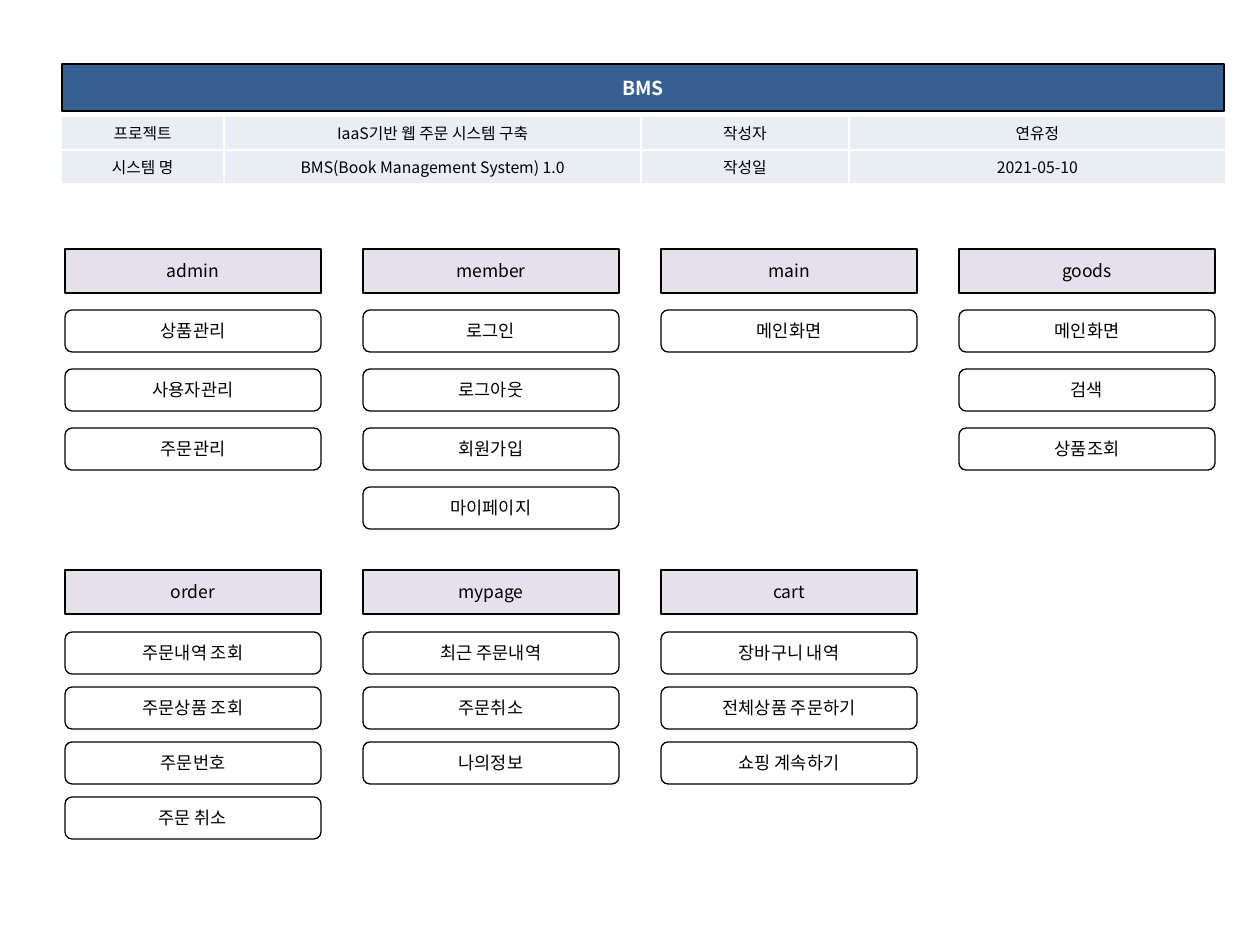
from pptx import Presentation
from pptx.dml.color import RGBColor as RGB
from pptx.enum.shapes import MSO_SHAPE as SHAPE
from pptx.enum.text import MSO_ANCHOR as ANCHOR, PP_ALIGN as ALIGN
from pptx.oxml.ns import qn
from pptx.util import Pt
from lxml.etree import SubElement

SCALE = 914400 // 126
FONT = "Noto Sans CJK KR"
BLACK = RGB(0x00, 0x00, 0x00)
WHITE = RGB(0xFF, 0xFF, 0xFF)
NAVY = RGB(0x37, 0x60, 0x92)
LILAC = RGB(0xE6, 0xE0, 0xEC)
PALE = RGB(0xE9, 0xED, 0xF4)

TITLE = {"size": Pt(11), "bold": True}
LABEL = {"size": Pt(10), "bold": False}
CELL = {"size": Pt(9), "bold": False}

LEFT, PITCH, WIDTH = 65, 298, 256
HEAD_H, ITEM_H = 44, 42

INFO_COLS = [163, 417, 208, 377]
INFO_ROW_H = 34
INFO = [
    ["프로젝트", "IaaS기반 웹 주문 시스템 구축", "작성자", "연유정"],
    ["시스템 명", "BMS(Book Management System) 1.0", "작성일", "2021-05-10"],
]

BANDS = [
    (249, 310, 59, [
        ("admin", ["상품관리", "사용자관리", "주문관리"]),
        ("member", ["로그인", "로그아웃", "회원가입", "마이페이지"]),
        ("main", ["메인화면"]),
        ("goods", ["메인화면", "검색", "상품조회"]),
    ]),
    (570, 632, 55, [
        ("order", ["주문내역 조회", "주문상품 조회", "주문번호", "주문 취소"]),
        ("mypage", ["최근 주문내역", "주문취소", "나의정보"]),
        ("cart", ["장바구니 내역", "전체상품 주문하기", "쇼핑 계속하기"]),
    ]),
]


def px(*values):
    return [v * SCALE for v in values]


def set_text(tf, text, fmt, color=BLACK):
    p = tf.paragraphs[0]
    p.alignment = ALIGN.CENTER
    r = p.add_run()
    r.text = text
    r.font.name = FONT
    r.font.color.rgb = color
    for name, value in fmt.items():
        setattr(r.font, name, value)
    SubElement(r.font._element, qn("a:ea"), typeface=FONT)


def add_box(s, kind, box, text, fmt=LABEL, fill=None, color=BLACK):
    sp = s.shapes.add_shape(kind, *px(*box))
    sp.shadow.inherit = False
    if fill is None:
        sp.fill.background()
    else:
        sp.fill.solid()
        sp.fill.fore_color.rgb = fill
    sp.line.color.rgb = BLACK
    sp.line.width = Pt(0.75)
    sp.text_frame.vertical_anchor = ANCHOR.MIDDLE
    set_text(sp.text_frame, text, fmt, color)


def set_borders(cell, color, width):
    tc_pr = cell._tc.get_or_add_tcPr()
    for side in ("lnL", "lnR", "lnT", "lnB"):
        ln = SubElement(tc_pr, qn(f"a:{side}"), w=str(width))
        fill = SubElement(ln, qn("a:solidFill"))
        SubElement(fill, qn("a:srgbClr"), val=str(color))


def fill_cell(cell, text):
    set_borders(cell, WHITE, Pt(1))
    cell.fill.solid()
    cell.fill.fore_color.rgb = PALE
    cell.vertical_anchor = ANCHOR.MIDDLE
    for side in ("left", "right", "top", "bottom"):
        setattr(cell, f"margin_{side}", 0)
    set_text(cell.text_frame, text, CELL)


def add_info_table(s, x, y):
    size = px(x, y, sum(INFO_COLS), INFO_ROW_H * len(INFO))
    table = s.shapes.add_table(len(INFO), len(INFO_COLS), *size).table
    table.first_row = table.horz_banding = False
    for col, width in zip(table.columns, px(*INFO_COLS)):
        col.width = width
    for row, texts in zip(table.rows, INFO):
        row.height = INFO_ROW_H * SCALE
        for cell, text in zip(row.cells, texts):
            fill_cell(cell, text)


def add_menu(s, x, head_y, item_y, step, name, items):
    add_box(s, SHAPE.RECTANGLE, (x, head_y, WIDTH, HEAD_H), name, fill=LILAC)
    for i, item in enumerate(items):
        box = (x, item_y + i * step, WIDTH, ITEM_H)
        add_box(s, SHAPE.ROUNDED_RECTANGLE, box, item)


def main():
    prs = Presentation()
    prs.slide_width, prs.slide_height = px(1260, 945)
    s = prs.slides.add_slide(prs.slide_layouts[6])
    add_box(s, SHAPE.RECTANGLE, (62, 64, 1162, 47), "BMS", TITLE, NAVY, WHITE)
    add_info_table(s, 61, 116)
    for head_y, item_y, step, menus in BANDS:
        for i, (name, items) in enumerate(menus):
            add_menu(s, LEFT + i * PITCH, head_y, item_y, step, name, items)
    prs.save("out.pptx")


main()
